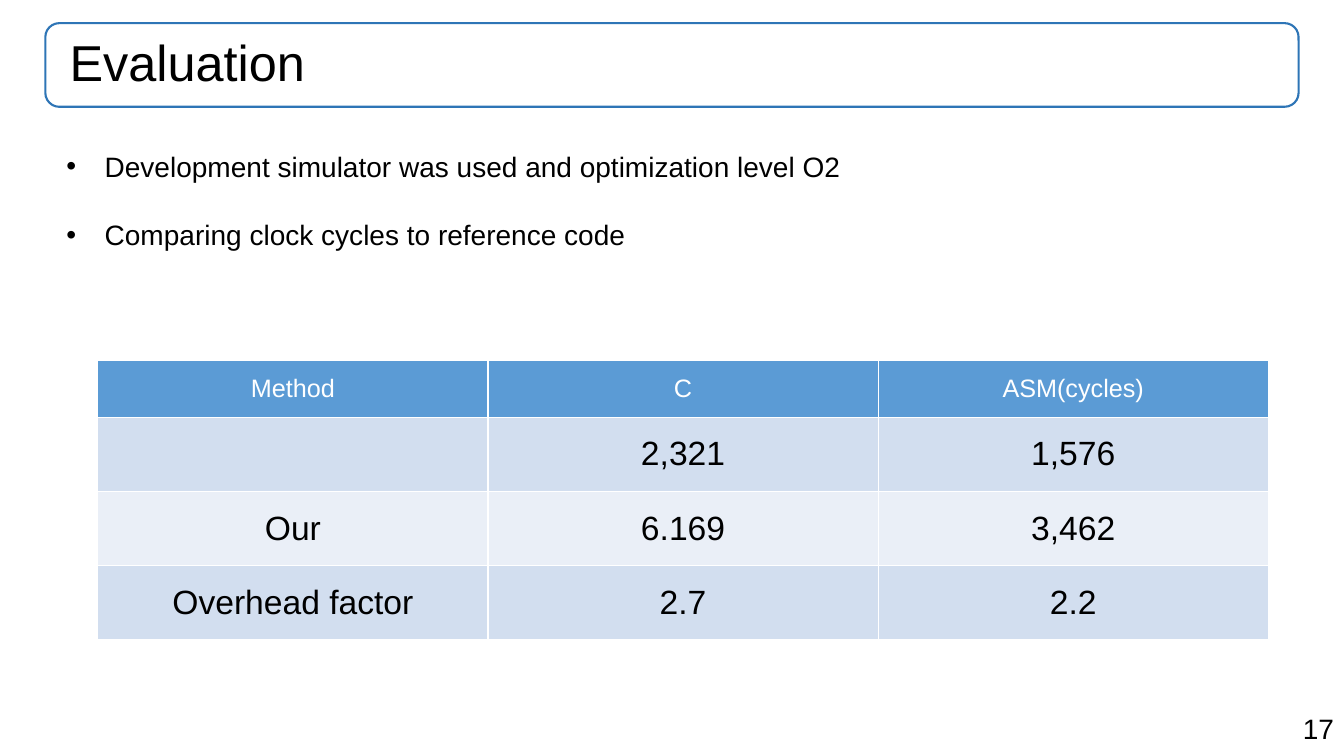
"""Build the evaluation slide with its cycle-count table."""
from dataclasses import dataclass

from lxml import etree
from pptx import Presentation
from pptx.dml.color import RGBColor
from pptx.enum.shapes import MSO_SHAPE
from pptx.enum.text import MSO_ANCHOR, MSO_AUTO_SIZE, PP_ALIGN
from pptx.oxml.ns import qn
from pptx.util import Inches, Pt


@dataclass(frozen=True)
class Theme:
    """Font, colours and type sizes of the slide."""
    font: str = "Arial"
    text: str = "000000"
    white: str = "FFFFFF"
    frame: str = "2E75B6"
    header: str = "5B9BD5"
    bands: tuple = ("D2DEEF", "EAEFF7")
    title_size: int = 36
    body_size: int = 20
    header_size: int = 18
    cell_size: int = 24


THEME = Theme()
TITLE_BOX = (0.45, 0.23, 12.43, 0.83)
BULLETS = [
    "Development simulator was used and optimization level O2",
    "Comparing clock cycles to reference code",
]
CYCLES = [
    ("Method", "C", "ASM(cycles)"),
    ("", "2,321", "1,576"),
    ("Our", "6.169", "3,462"),
    ("Overhead factor", "2.7", "2.2"),
]


def inches(box):
    """Convert a box of plain numbers to lengths."""
    return [Inches(value) for value in box]


def format_paragraph(paragraph, size, color=THEME.text, align=PP_ALIGN.LEFT):
    """Align a paragraph and style its runs."""
    paragraph.alignment = align
    for run in paragraph.runs:
        run.font.name = THEME.font
        run.font.size = Pt(size)
        run.font.color.rgb = RGBColor.from_string(color)


def add_text(slide, box, lines, align=PP_ALIGN.LEFT):
    """Add a wrapping text box and return its paragraphs."""
    frame = slide.shapes.add_textbox(*inches(box)).text_frame
    frame.word_wrap = True
    frame.text = "\n".join(lines)
    for paragraph in frame.paragraphs:
        format_paragraph(paragraph, THEME.body_size, align=align)
    return frame.paragraphs


def add_bullets(slide, box, lines):
    """Add a bulleted list with a gap between the items."""
    for index, paragraph in enumerate(add_text(slide, box, lines)):
        paragraph.space_before = Pt(25 if index else 0)
        properties = paragraph._p.get_or_add_pPr()
        properties.set("marL", str(Inches(0.38)))
        properties.set("indent", str(Inches(-0.38)))
        etree.SubElement(properties, qn("a:buFont"), typeface=THEME.font)
        etree.SubElement(properties, qn("a:buChar"), char="•")


def add_title_frame(slide, box):
    """Add the rounded outline around the title."""
    frame = slide.shapes.add_shape(MSO_SHAPE.ROUNDED_RECTANGLE, *inches(box))
    frame.shadow.inherit = False
    frame.fill.background()
    frame.line.color.rgb = RGBColor.from_string(THEME.frame)
    frame.line.width = Pt(1.5)


def set_title(slide, box, text):
    """Place and format the title placeholder."""
    title = slide.shapes.title
    title.left, title.top, title.width, title.height = inches(box)
    frame = title.text_frame
    frame.text = text
    frame.auto_size = MSO_AUTO_SIZE.NONE
    frame.vertical_anchor = MSO_ANCHOR.MIDDLE
    frame.margin_left = Inches(0.24)
    frame.paragraphs[0].line_spacing = 0.9
    format_paragraph(frame.paragraphs[0], THEME.title_size)


def add_borders(cell):
    """Draw a thin white line on every side of a cell."""
    properties = cell._tc.get_or_add_tcPr()
    for side in "LRTB":
        line = etree.SubElement(properties, qn(f"a:ln{side}"), w=str(Pt(1)))
        fill = etree.SubElement(line, qn("a:solidFill"))
        etree.SubElement(fill, qn("a:srgbClr"), val=THEME.white)


def format_cell(cell, text, fill, size, color):
    """Fill one table cell with centred text."""
    cell.text = text
    cell.vertical_anchor = MSO_ANCHOR.MIDDLE
    cell.margin_left = cell.margin_right = Inches(0.05)
    cell.margin_top = cell.margin_bottom = 0
    format_paragraph(cell.text_frame.paragraphs[0], size, color, PP_ALIGN.CENTER)
    add_borders(cell)
    cell.fill.solid()
    cell.fill.fore_color.rgb = RGBColor.from_string(fill)


def add_banded_table(slide, box, rows):
    """Add a table with a header row and alternating bands."""
    table = slide.shapes.add_table(len(rows), len(rows[0]), *inches(box)).table
    for row_index, values in enumerate(rows):
        if row_index == 0:
            height, style = 0.56, (THEME.header, THEME.header_size, THEME.white)
        else:
            band = THEME.bands[(row_index - 1) % 2]
            height, style = 0.735, (band, THEME.cell_size, THEME.text)
        table.rows[row_index].height = Inches(height)
        for column_index, text in enumerate(values):
            format_cell(table.cell(row_index, column_index), text, *style)


def main():
    """Build and save the slide."""
    presentation = Presentation()
    presentation.slide_width = Inches(13.33)
    presentation.slide_height = Inches(7.5)
    slide = presentation.slides.add_slide(presentation.slide_layouts[5])
    add_text(slide, (9.43, 7.01, 3.9, 0.44), ["17"], PP_ALIGN.RIGHT)
    add_title_frame(slide, TITLE_BOX)
    set_title(slide, TITLE_BOX, "Evaluation")
    add_banded_table(slide, (0.97, 3.58, 11.61, 2.77), CYCLES)
    add_bullets(slide, (0.56, 1.43, 12.43, 1.11), BULLETS)
    presentation.save("out.pptx")


if __name__ == "__main__":
    main()
